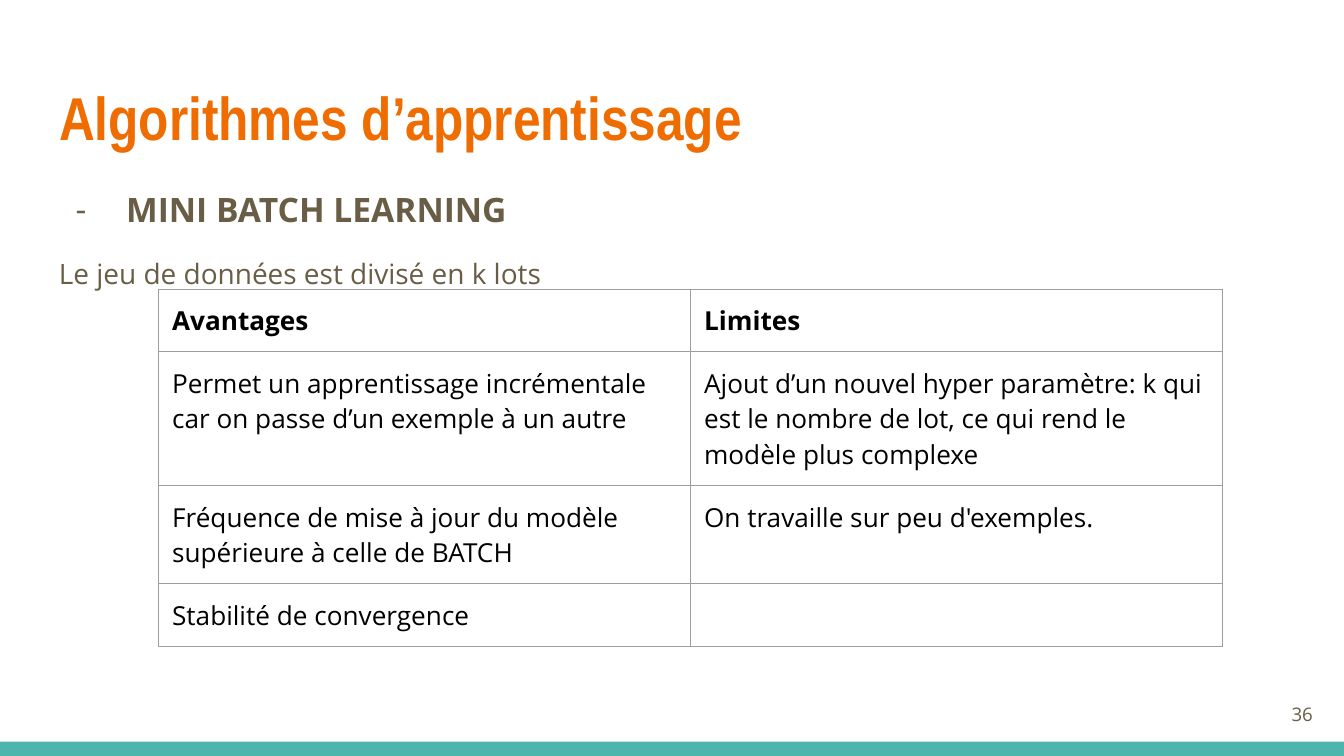
from lxml import etree
from pptx import Presentation
from pptx.dml.color import RGBColor
from pptx.enum.shapes import MSO_SHAPE
from pptx.enum.text import MSO_ANCHOR, MSO_AUTO_SIZE, PP_ALIGN
from pptx.oxml.ns import qn
from pptx.util import Pt

RECTANGLE = MSO_SHAPE.RECTANGLE
TOP, MIDDLE = MSO_ANCHOR.TOP, MSO_ANCHOR.MIDDLE
LEFT, RIGHT = PP_ALIGN.LEFT, PP_ALIGN.RIGHT
NO_AUTOFIT = MSO_AUTO_SIZE.NONE

TITLE_ONLY = 5
WIDTH, HEIGHT = 720, 405
MARGIN = 24.5
INSETS = {f"margin_{side}": Pt(7.2) for side in ("left", "top", "right", "bottom")}
COLORS = {
    "title": "EF6C00",
    "body": "695D46",
    "band": "4DB6AC",
    "table": "000000",
    "border": "9E9E9E",
}
COMPARISON = [
    ("Avantages", "Limites"),
    ("Permet un apprentissage incrémentale car on passe d’un exemple à un autre",
     "Ajout d’un nouvel hyper paramètre: k qui est le nombre de lot, "
     "ce qui rend le modèle plus complexe"),
    ("Fréquence de mise à jour du modèle supérieure à celle de BATCH",
     "On travaille sur peu d'exemples."),
    ("Stabilité de convergence", ""),
]


def apply(target, values):
    for name, value in values.items():
        setattr(target, name, value)


class SlideBuilder:
    def __init__(self, slide, font="Open Sans"):
        self.slide = slide
        self.font = font

    def frame(self, text_frame, anchor=TOP):
        apply(text_frame, {**INSETS, "word_wrap": True,
                           "auto_size": NO_AUTOFIT, "vertical_anchor": anchor})

    def add_text(self, paragraph, text, size, color, bold=False, font=None, **layout):
        run = paragraph.add_run()
        run.text = text
        apply(run.font, {"name": font or self.font, "size": Pt(size), "bold": bold})
        run.font.color.rgb = RGBColor.from_string(COLORS[color])
        apply(paragraph, {"alignment": LEFT, **layout})

    def title(self, text, left, top, width, height):
        title = self.slide.shapes.title
        apply(title, {"left": Pt(left), "top": Pt(top),
                      "width": Pt(width), "height": Pt(height)})
        self.frame(title.text_frame)
        self.add_text(title.text_frame.paragraphs[0], text, 32.4, "title",
                      bold=True, font="Arial Narrow")

    def band(self, left, top, width, height):
        band = self.slide.shapes.add_shape(
            RECTANGLE, Pt(left), Pt(top), Pt(width), Pt(height))
        band.shadow.inherit = False
        band.fill.solid()
        band.fill.fore_color.rgb = RGBColor.from_string(COLORS["band"])
        band.line.fill.background()

    def text_box(self, left, top, width, height, anchor=TOP):
        box = self.slide.shapes.add_textbox(
            Pt(left), Pt(top), Pt(width), Pt(height))
        self.frame(box.text_frame, anchor)
        return box.text_frame

    def bullet(self, paragraph, mark, indent, hanging):
        properties = paragraph._p.get_or_add_pPr()
        properties.set("marL", str(Pt(indent)))
        properties.set("indent", str(-Pt(hanging)))
        color = etree.SubElement(properties, qn("a:buClr"))
        etree.SubElement(color, qn("a:srgbClr"), val=COLORS["body"])
        etree.SubElement(properties, qn("a:buFont"), typeface=self.font)
        etree.SubElement(properties, qn("a:buChar"), char=mark)

    def borders(self, cell):
        properties = cell._tc.get_or_add_tcPr()
        for position, side in enumerate(("a:lnL", "a:lnR", "a:lnT", "a:lnB")):
            line = etree.Element(qn(side), w=str(Pt(0.75)))
            fill = etree.SubElement(line, qn("a:solidFill"))
            etree.SubElement(fill, qn("a:srgbClr"), val=COLORS["border"])
            properties.insert(position, line)

    def table(self, rows, left, top, column_width, row_height, size=14):
        columns = len(rows[0])
        table = self.slide.shapes.add_table(
            len(rows), columns, Pt(left), Pt(top),
            Pt(column_width * columns), Pt(row_height * len(rows))).table
        apply(table, {"first_row": False, "horz_banding": False})
        for column in table.columns:
            column.width = Pt(column_width)
        for r, texts in enumerate(rows):
            for c, text in enumerate(texts):
                cell = table.cell(r, c)
                apply(cell, INSETS)
                cell.fill.background()
                self.borders(cell)
                paragraph = cell.text_frame.paragraphs[0]
                if text:
                    self.add_text(paragraph, text, size, "table", bold=r == 0)
                else:
                    etree.SubElement(paragraph._p, qn("a:endParaRPr"),
                                     sz=str(size * 100))


def main():
    presentation = Presentation()
    apply(presentation, {"slide_width": Pt(WIDTH), "slide_height": Pt(HEIGHT)})
    layout = presentation.slide_layouts[TITLE_ONLY]
    builder = SlideBuilder(presentation.slides.add_slide(layout))
    content_width = WIDTH - 2 * MARGIN

    builder.band(0, 397.3, WIDTH, 7.7)
    builder.title("Algorithmes d’apprentissage", MARGIN, 35.5, content_width, 55.2)

    body = builder.text_box(MARGIN, 90.7, content_width, 260)
    method = body.paragraphs[0]
    builder.add_text(method, "MINI BATCH LEARNING", 18, "body", bold=True,
                     line_spacing=1.15)
    builder.bullet(method, "-", indent=36, hanging=27)
    builder.add_text(body.add_paragraph(), "Le jeu de données est divisé en k lots",
                     15, "body", line_spacing=1.15,
                     space_before=Pt(12), space_after=Pt(12))

    page_number = builder.text_box(667.2, 367.2, 43.2, 31, MIDDLE)
    builder.add_text(page_number.paragraphs[0], "36", 10, "body", alignment=RIGHT)

    builder.table(COMPARISON, 85, 155, column_width=285, row_height=30.24)
    presentation.save("out.pptx")


if __name__ == "__main__":
    main()
